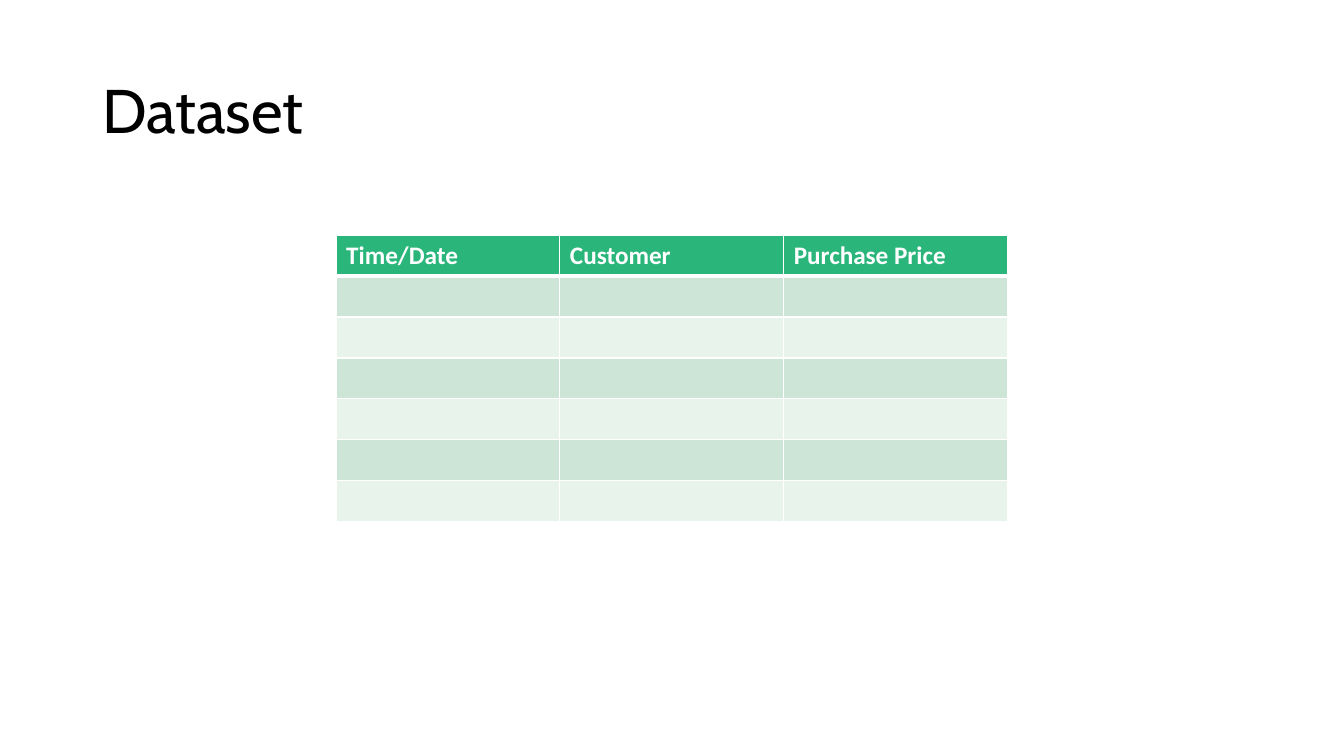
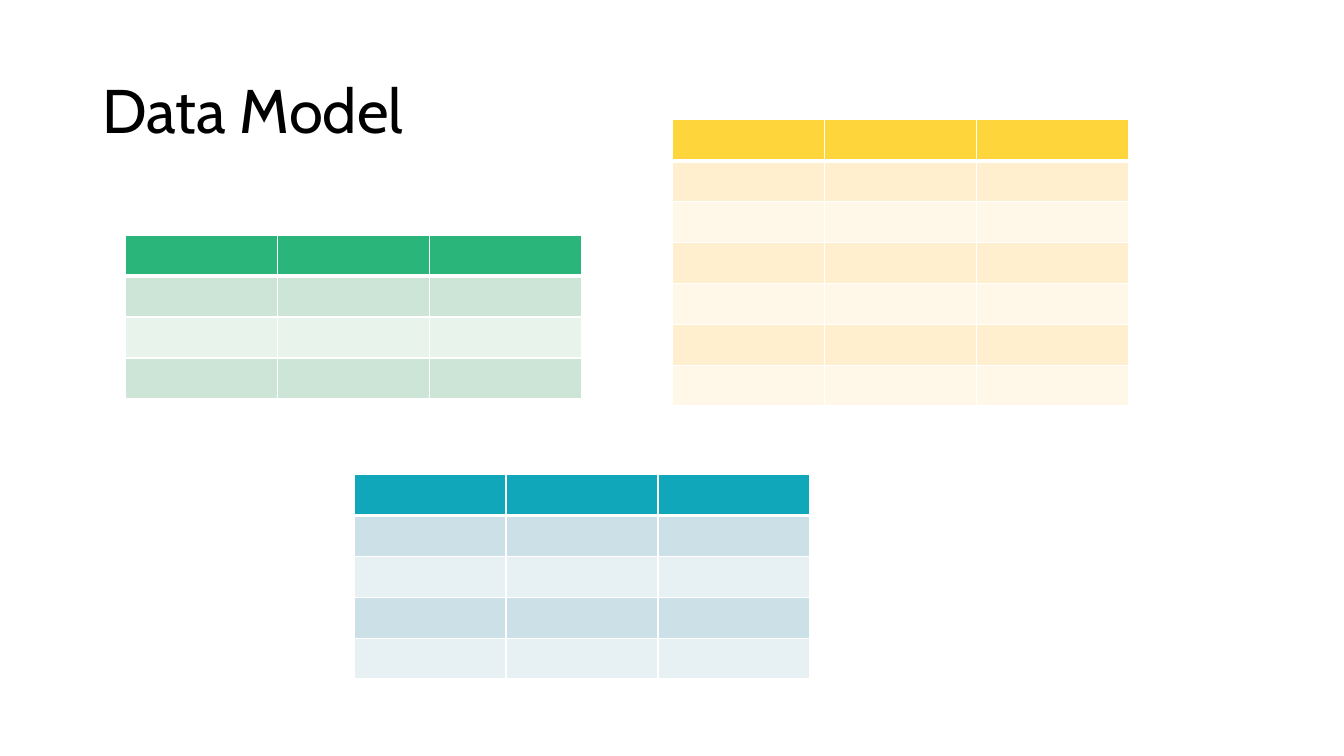
import pptx
import pptx.dml.color
import pptx.enum.text
import pptx.oxml
import pptx.oxml.ns
import pptx.util

Cm = pptx.util.Cm
Pt = pptx.util.Pt

COLORS = {
    "text": "000000",
    "white": "FFFFFF",
    "green": ("2AB67B", "CDE5D7", "E8F3EC"),  # header, odd row, even row
    "yellow": ("FFD53C", "FFEFCE", "FFF7E8"),
    "teal": ("11A7BB", "CCE1E7", "E7F1F3"),
}
ROW_HEIGHT = 1.03
COLUMNS = 3


def write_text(tf, text, *, font, size, color, bold=False, spacing=1.0):
    p = tf.paragraphs[0]
    p.line_spacing = spacing
    r = p.add_run()
    r.text = text
    r.font.name = font
    r.font.size = Pt(size)
    r.font.bold = bold
    r.font.color.rgb = pptx.dml.color.RGBColor.from_string(color)


def add_banded_table(s, left, top, column_width, rows, palette, headers=()):
    header_fill, odd_fill, even_fill = COLORS[palette]
    table = s.shapes.add_table(rows, COLUMNS, Cm(left), Cm(top),
                               Cm(column_width * COLUMNS), Cm(ROW_HEIGHT * rows)).table
    table.first_row = table.horz_banding = False
    for column in table.columns:
        column.width = Cm(column_width)
    for i, row in enumerate(table.rows):
        row.height = Cm(ROW_HEIGHT)
        fill = header_fill if i == 0 else odd_fill if i % 2 else even_fill
        # The line under the header is thicker than the rest
        widths = {"lnL": 1, "lnR": 1, "lnT": 3 if i == 1 else 1, "lnB": 3 if i == 0 else 1}
        for cell in row.cells:
            tcPr = cell._tc.get_or_add_tcPr()
            for side, width in widths.items():
                tcPr.append(pptx.oxml.parse_xml(
                    f'<a:{side} {pptx.oxml.ns.nsdecls("a")} w="{Pt(width)}"><a:solidFill>'
                    f'<a:srgbClr val="{COLORS["white"]}"/></a:solidFill></a:{side}>'))
            cell.fill.solid()
            cell.fill.fore_color.rgb = pptx.dml.color.RGBColor.from_string(fill)
    for j, header in enumerate(headers):
        write_text(table.cell(0, j).text_frame, header, font="Calibri", size=18,
                   color=COLORS["white"], bold=True)


# Slide content: title, then tables as left, top, column width, rows, palette, headers
slides = [
    ("Dataset", [
        (8.47, 5.93, 5.64, 7, "green", ("Time/Date", "Customer", "Purchase Price")),
    ]),
    ("Data Model", [
        (3.16, 5.93, 3.83, 4, "green"),
        (16.94, 3.02, 3.83, 7, "yellow"),
        (8.92, 11.96, 3.83, 5, "teal"),
    ]),
]

prs = pptx.Presentation()
prs.slide_width = Cm(33.87)
prs.slide_height = Cm(19.05)

for title, tables in slides:
    s = prs.slides.add_slide(prs.slide_layouts[6])

    # Title
    tf = s.shapes.add_textbox(Cm(2.33), Cm(1.01), Cm(29.21), Cm(3.68)).text_frame
    tf.word_wrap = True
    tf.vertical_anchor = pptx.enum.text.MSO_ANCHOR.MIDDLE
    write_text(tf, title, font="Cabin", size=44, color=COLORS["text"], spacing=0.9)

    # Tables
    for table_spec in tables:
        add_banded_table(s, *table_spec)

prs.save("out.pptx")
